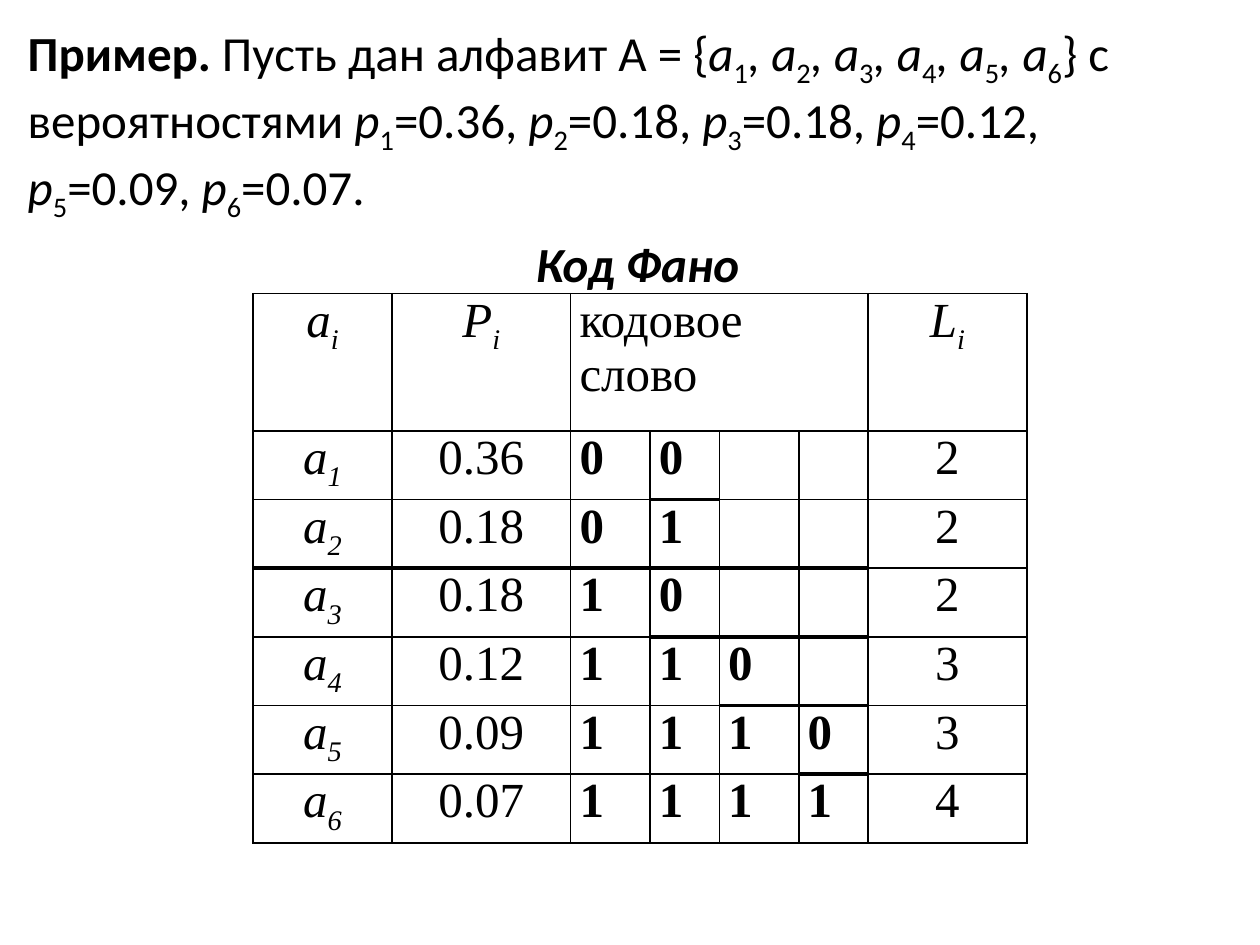
from dataclasses import dataclass

from lxml import etree
from pptx import Presentation, util as u
from pptx.dml import color
from pptx.enum import text
from pptx.oxml import ns

ALIGN = text.PP_ALIGN


@dataclass(frozen=True)
class Theme:
    """Colours, fonts and sizes in points."""
    ink: str = "000000"
    body: str = "Calibri"
    table: str = "Times New Roman"
    size: float = 28
    gap: float = 5.6
    thin: float = 1
    heavy: float = 2.25


@dataclass
class Span:
    """A piece of text with its own style."""
    words: str
    bold: bool = False
    italic: bool = False
    sub: bool = False


def assign(target, values):
    """Set attributes of an object from a dict."""
    for name, value in values.items():
        setattr(target, name, value)


def term(letter, index, slanted=False):
    """Return an italic letter with a subscript."""
    return [Span(letter, italic=True), Span(index, italic=slanted, sub=True)]


class Page:
    """Builds one slide with lengths in percent of its size."""

    def __init__(self, deck, theme):
        """Add a slide that keeps only its body placeholder."""
        self.deck, self.theme = deck, theme
        self.slide = deck.slides.add_slide(deck.slide_layouts[1])
        title = self.slide.shapes.title.element
        title.getparent().remove(title)

    def across(self, share):
        """Convert percent of the slide width."""
        return u.Emu(round(self.deck.slide_width * share / 100))

    def down(self, share):
        """Convert percent of the slide height."""
        return u.Emu(round(self.deck.slide_height * share / 100))

    def place(self, left, top, width, height):
        """Return the four lengths of a box."""
        return self.across(left), self.down(top), self.across(width), self.down(height)

    def typeset(self, para, spans, font, align):
        """Fill a paragraph with styled spans."""
        para.alignment = align
        for item in spans:
            span = para.add_run()
            span.text = item.words
            assign(span.font, {"name": font, "size": u.Pt(self.theme.size),
                               "bold": item.bold, "italic": item.italic})
            span.font.color.rgb = color.RGBColor.from_string(self.theme.ink)
            if item.sub:
                span._r.get_or_add_rPr().set("baseline", "-25000")

    def body(self, area, paragraphs):
        """Move the body placeholder and fill it without bullets."""
        box = self.slide.placeholders[1]
        assign(box, dict(zip(("left", "top", "width", "height"), self.place(*area))))
        frame = box.text_frame
        assign(frame, {"word_wrap": True, "auto_size": text.MSO_AUTO_SIZE.NONE})
        for number, (spans, align, gap) in enumerate(paragraphs):
            para = frame.add_paragraph() if number else frame.paragraphs[0]
            para.space_before = u.Pt(gap)
            props = para._p.get_or_add_pPr()
            props.set("marL", "0")
            props.set("indent", "0")
            etree.SubElement(props, ns.qn("a:buNone"))
            self.typeset(para, spans, self.theme.body, align)

    def border(self, cell, side, weight):
        """Draw one edge of a cell."""
        line = etree.SubElement(cell._tc.get_or_add_tcPr(), ns.qn(f"a:ln{side}"),
                                w=str(u.Pt(weight)))
        fill = etree.SubElement(line, ns.qn("a:solidFill"))
        etree.SubElement(fill, ns.qn("a:srgbClr"), val=self.theme.ink)

    def table(self, left, top, widths, heights, rows, splits):
        """Add a ruled table with heavy lines below the split cells."""
        area = self.place(left, top, sum(widths), sum(heights))
        grid = self.slide.shapes.add_table(len(rows), len(widths), *area).table
        assign(grid, {"first_row": False, "horz_banding": False})
        for column, width in zip(grid.columns, widths):
            column.width = self.across(width)
        for line, height in zip(grid.rows, heights):
            line.height = self.down(height)
        for r, row in enumerate(rows):
            for c, (spans, align) in enumerate(row):
                cell = grid.cell(r, c)
                margin = self.across(0.7)
                assign(cell, {"margin_left": margin, "margin_right": margin,
                              "margin_top": 0, "margin_bottom": 0})
                edges = {"L": False, "R": False, "T": c in splits.get(r - 1, ()),
                         "B": c in splits.get(r, ())}
                for side, split in edges.items():
                    self.border(cell, side, self.theme.heavy if split else self.theme.thin)
                cell.fill.background()
                self.typeset(cell.text_frame.paragraphs[0], spans, self.theme.table, align)
        return grid


def intro(chances):
    """Return the paragraphs of the example text."""
    names, odds = [], []
    for number, chance in enumerate(chances, 1):
        names += term(", a" if number > 1 else "a", str(number))
        ending = "." if number == len(chances) else "," if number == 4 else ", "
        odds.append(term("p", str(number)) + [Span(f"={chance}{ending}")])
    opening = [Span("Пример. ", bold=True), Span("Пусть дан алфавит A = {"),
               *names, Span("} с вероятностями "), *sum(odds[:4], [])]
    return [(opening, ALIGN.LEFT, Theme.gap), (sum(odds[4:], []), ALIGN.LEFT, 0),
            ([Span("Код Фано", bold=True, italic=True)], ALIGN.CENTER, Theme.gap)]


def code_rows(chances, codes, lengths):
    """Return the header and the rows of the code table."""
    blank = ([], ALIGN.LEFT)
    heads = [(term(letter, "i", True), ALIGN.CENTER) for letter in "aPL"]
    rows = [[*heads[:2], ([Span("кодовое слово")], ALIGN.JUSTIFY),
             blank, blank, blank, heads[2]]]
    for number, (chance, code, length) in enumerate(zip(chances, codes, lengths), 1):
        digits = [([Span(digit, bold=True)], ALIGN.LEFT) for digit in code]
        rows.append([(term("a", str(number), True), ALIGN.CENTER),
                     ([Span(chance)], ALIGN.CENTER),
                     *digits, *[blank] * (4 - len(code)),
                     ([Span(length)], ALIGN.CENTER)])
    return rows


def main():
    """Build and save the deck."""
    deck = Presentation()
    assign(deck, {"slide_width": u.Inches(10), "slide_height": u.Inches(7.5)})
    page = Page(deck, Theme())
    chances = ["0.36", "0.18", "0.18", "0.12", "0.09", "0.07"]
    codes = ["00", "01", "10", "110", "1110", "1111"]
    page.body((1.2, 1.73, 98.8, 98.27), intro(chances))
    splits = {1: range(3, 4), 2: range(6), 3: range(3, 6), 4: range(4, 6), 5: range(5, 6)}
    grid = page.table(20.1, 31.07, [11, 14.2, 6.3, 5.5, 6.3, 5.5, 12.6],
                      [14.53] + [7.27] * 6, code_rows(chances, codes, "222334"), splits)
    grid.cell(0, 2).merge(grid.cell(0, 5))
    deck.save("out.pptx")


if __name__ == "__main__":
    main()
